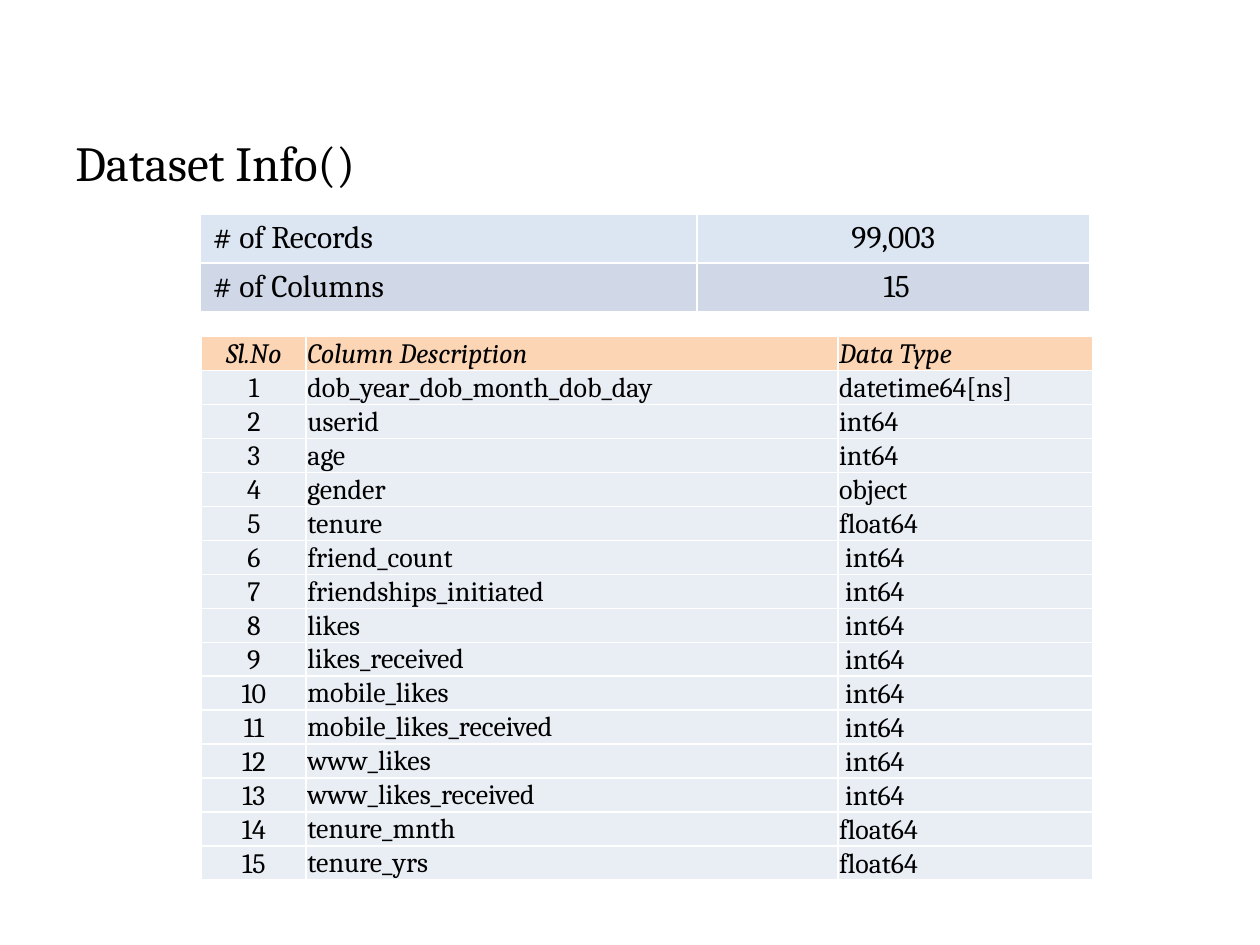
from lxml import etree
from pptx import Presentation
from pptx.dml.color import RGBColor
from pptx.enum.text import MSO_ANCHOR, PP_ALIGN
from pptx.oxml.ns import qn
from pptx.util import Inches, Pt

LEFT, CENTER = PP_ALIGN.LEFT, PP_ALIGN.CENTER
TOP, MIDDLE, BOTTOM = MSO_ANCHOR.TOP, MSO_ANCHOR.MIDDLE, MSO_ANCHOR.BOTTOM

# Content
TITLE = "Dataset Info()"
SUMMARY = [("# of Records", "99,003"), ("# of Columns", " 15")]
HEADER = ("Sl.No", "Column Description", "Data Type")
COLUMNS = [
    ("dob_year_dob_month_dob_day", "datetime64[ns]"),
    ("userid", "int64"),
    ("age", "int64"),
    ("gender", "object"),
    ("tenure", "float64"),
    ("friend_count", " int64"),
    ("friendships_initiated", " int64"),
    ("likes", " int64"),
    ("likes_received", " int64"),
    ("mobile_likes", " int64"),
    ("mobile_likes_received", " int64"),
    ("www_likes", " int64"),
    ("www_likes_received", " int64"),
    ("tenure_mnth", "float64"),
    ("tenure_yrs", "float64"),
]

# Look
FONT = "Cambria"
COLORS = {"text": "000000", "border": "FFFFFF", "records": "DCE6F2",
          "columns": "D0D8E8", "header": "FCD5B5", "body": "E9EDF4"}
WIDE_MARGINS = {"margin_left": 0.1, "margin_right": 0.1,
                "margin_top": 0.05, "margin_bottom": 0.05}
TIGHT_MARGINS = {"margin_left": 0.01, "margin_right": 0.01,
                 "margin_top": 0.01, "margin_bottom": 0}


def write(paragraph, text, size, align=LEFT, italic=False):
    paragraph.alignment = align
    run = paragraph.add_run()
    run.text = text
    format_values = {"name": FONT, "size": Pt(size), "italic": italic}
    for attribute, value in format_values.items():
        setattr(run.font, attribute, value)
    run.font.color.rgb = RGBColor.from_string(COLORS["text"])


def add_borders(cell):
    properties = cell._tc.get_or_add_tcPr()
    for position, side in enumerate(("a:lnL", "a:lnR", "a:lnT", "a:lnB")):
        line = etree.Element(qn(side), w=str(Pt(1)))
        fill = etree.SubElement(line, qn("a:solidFill"))
        etree.SubElement(fill, qn("a:srgbClr"), val=COLORS["border"])
        properties.insert(position, line)


def add_grid(slide, rows, left, top, widths, row_height, margins):
    table = slide.shapes.add_table(
        len(rows), len(widths), Inches(left), Inches(top),
        Inches(sum(widths)), Inches(row_height * len(rows))).table
    table.first_row = table.horz_banding = False
    for column, width in zip(table.columns, widths):
        column.width = Inches(width)
    for row in table.rows:
        row.height = Inches(row_height)
    for cell in table.iter_cells():
        for attribute, value in margins.items():
            setattr(cell, attribute, Inches(value))
        add_borders(cell)
    return table


def fill_row(table, index, texts, color, size, aligns, anchors, italic=False):
    for column, (text, align, anchor) in enumerate(zip(texts, aligns, anchors)):
        cell = table.cell(index, column)
        cell.fill.solid()
        cell.fill.fore_color.rgb = RGBColor.from_string(COLORS[color])
        cell.vertical_anchor = anchor
        write(cell.text_frame.paragraphs[0], text, size, align, italic)


def main():
    prs = Presentation()
    prs.slide_width, prs.slide_height = Inches(10), Inches(7.5)
    slide = prs.slides.add_slide(prs.slide_layouts[6])

    # Column listing
    rows = [HEADER] + [(str(number), *column)
                       for number, column in enumerate(COLUMNS, 1)]
    listing = add_grid(slide, rows, 1.6, 2.67, (0.83, 4.22, 2.02), 0.27,
                       TIGHT_MARGINS)
    for index, texts in enumerate(rows):
        is_header = index == 0
        fill_row(listing, index, texts, "header" if is_header else "body", 16,
                 (CENTER, LEFT, LEFT),
                 (BOTTOM, BOTTOM if is_header else MIDDLE, BOTTOM), is_header)

    # Record and column counts
    counts = add_grid(slide, SUMMARY, 1.59, 1.7, (3.94, 3.12), 0.37,
                      WIDE_MARGINS)
    for index, color in enumerate(("records", "columns")):
        fill_row(counts, index, SUMMARY[index], color, 18,
                 (LEFT, CENTER), (TOP, TOP))

    # Title
    title = slide.shapes.add_textbox(Inches(0.5), Inches(1), Inches(9), Inches(1))
    title.text_frame.word_wrap = True
    title.text_frame.vertical_anchor = TOP
    write(title.text_frame.paragraphs[0], TITLE, 28)

    prs.save("out.pptx")


if __name__ == "__main__":
    main()
